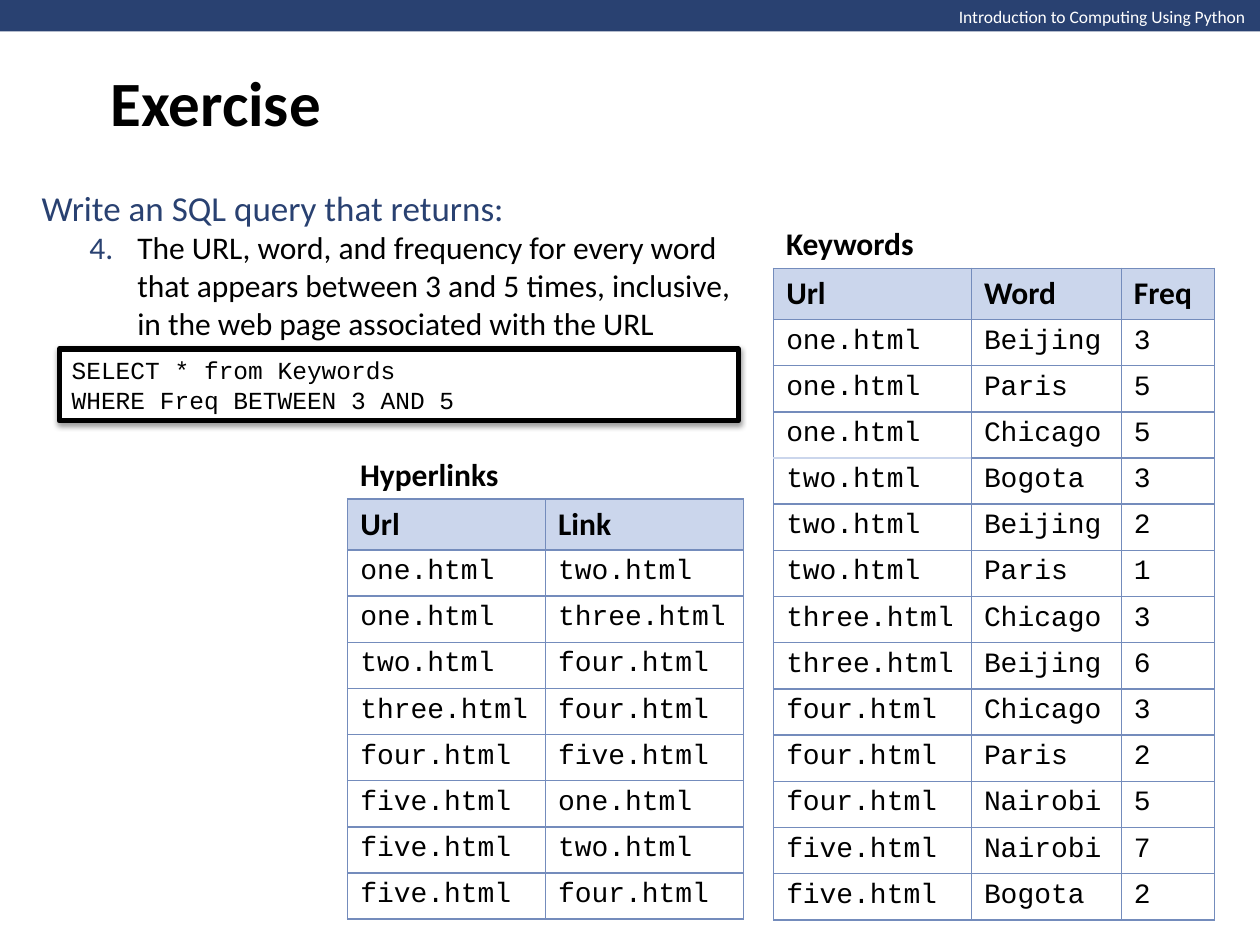
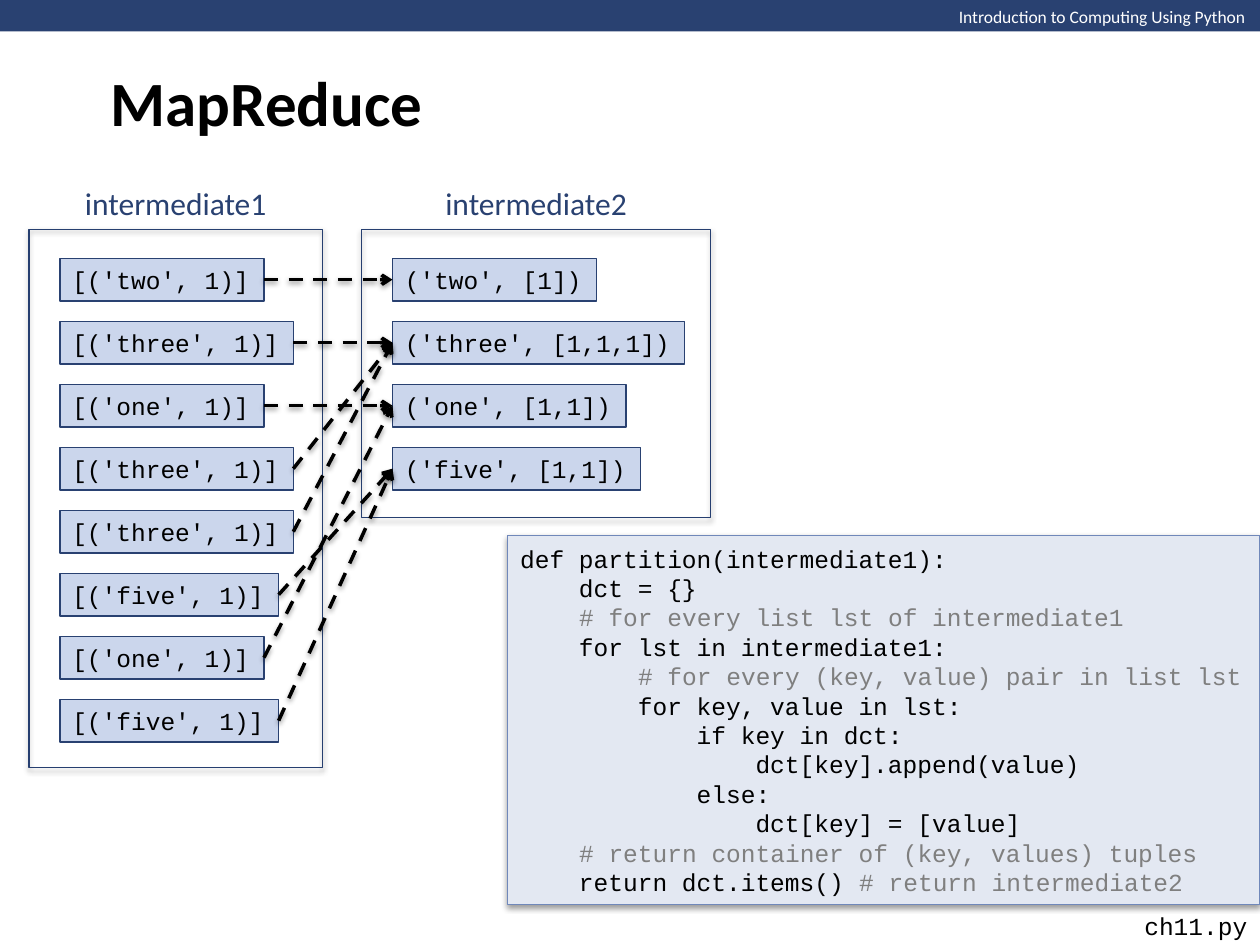
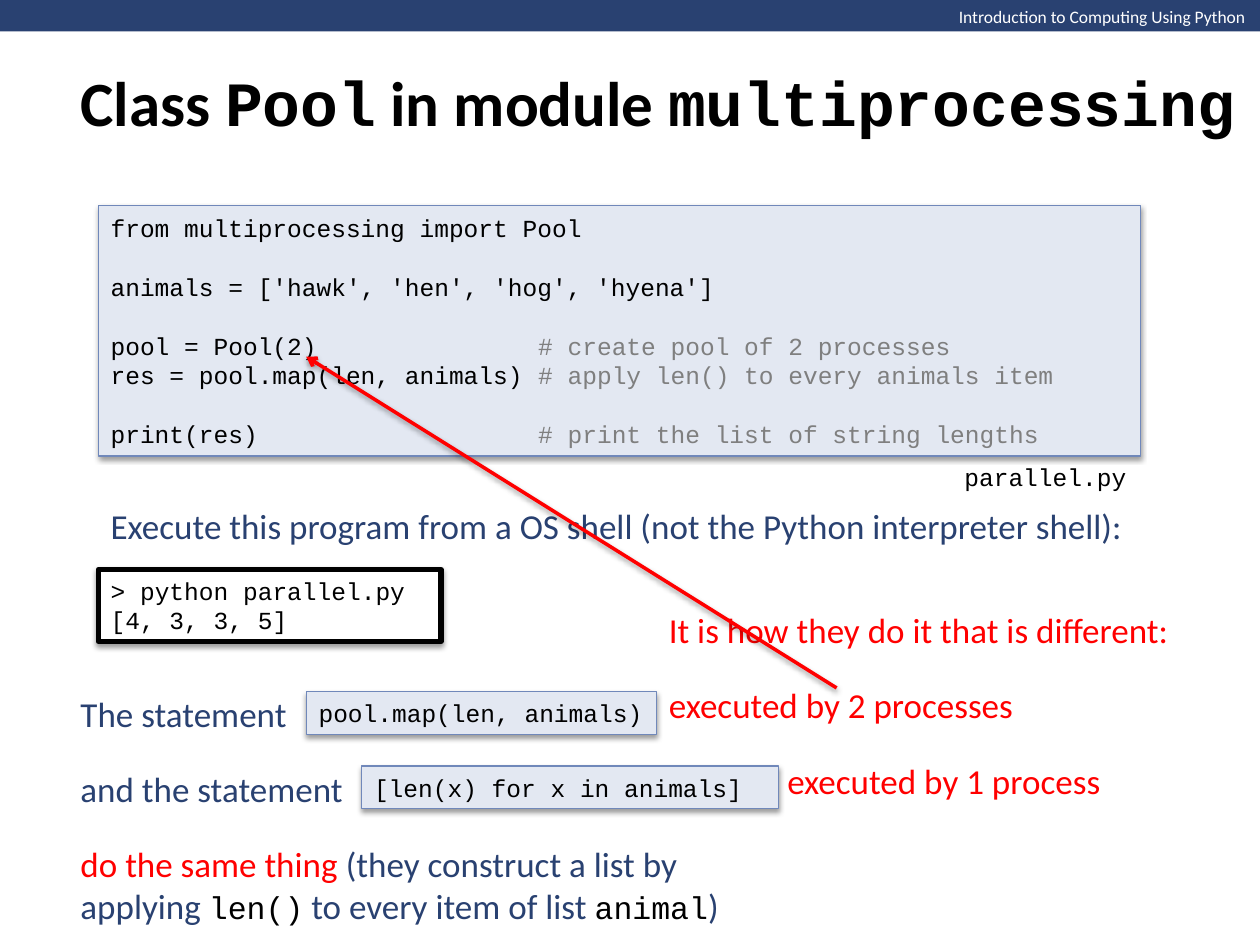
from collections import namedtuple

from lxml.etree import SubElement
from pptx import Presentation
from pptx.dml.color import RGBColor
from pptx.enum.dml import MSO_LINE
from pptx.enum.shapes import MSO_CONNECTOR, MSO_SHAPE
from pptx.enum.text import MSO_ANCHOR, MSO_AUTO_SIZE, PP_ALIGN
from pptx.oxml.ns import qn
from pptx.util import Inches, Pt

NAVY = RGBColor(0x29, 0x41, 0x71)
FRAME_BLUE = RGBColor(0x26, 0x3F, 0x70)
BORDER_BLUE = RGBColor(0x74, 0x8C, 0xBC)
PANEL_LINE = RGBColor(0x70, 0x88, 0xBA)
PANEL_FILL = RGBColor(0xE3, 0xE8, 0xF2)
PALE_BLUE = RGBColor(0xCB, 0xD6, 0xEC)
GREY = RGBColor(0x7F, 0x7F, 0x7F)
BLACK = RGBColor(0, 0, 0)
WHITE = RGBColor(0xFF, 0xFF, 0xFF)
RED = RGBColor(0xFF, 0, 0)

PROSE_FONT = "Calibri"
CODE_FONT = "Courier New"
CODE_SIZE = 14

WIDTH, HEIGHT = Inches(10), Inches(7.5)
COLUMN, ROW = WIDTH / 100, HEIGHT / 75
CHARACTER = CODE_SIZE * 0.6 / 7.2

Box = namedtuple("Box", "left top width height")
TITLE_BOX = Box(7.8, 0, 85, 16.1)

HYPERLINKS = [
    ("Url", "Link"),
    ("one.html", "two.html"),
    ("one.html", "three.html"),
    ("two.html", "four.html"),
    ("three.html", "four.html"),
    ("four.html", "five.html"),
    ("five.html", "one.html"),
    ("five.html", "two.html"),
    ("five.html", "four.html"),
]
KEYWORDS = [
    ("Url", "Word", "Freq"),
    ("one.html", "Beijing", "3"),
    ("one.html", "Paris", "5"),
    ("one.html", "Chicago", "5"),
    ("two.html", "Bogota", "3"),
    ("two.html", "Beijing", "2"),
    ("two.html", "Paris", "1"),
    ("three.html", "Chicago", "3"),
    ("three.html", "Beijing", "6"),
    ("four.html", "Chicago", "3"),
    ("four.html", "Paris", "2"),
    ("four.html", "Nairobi", "5"),
    ("five.html", "Nairobi", "7"),
    ("five.html", "Bogota", "2"),
]
QUERY = """SELECT * from Keywords
WHERE Freq BETWEEN 3 AND 5"""
PARTITION = """def partition(intermediate1):
    dct = {}
    # for every list lst of intermediate1
    for lst in intermediate1:
        # for every (key, value) pair in list lst
        for key, value in lst:
            if key in dct:
                dct[key].append(value)
            else:
                dct[key] = [value]
    # return container of (key, values) tuples
    return dct.items() # return intermediate2"""
POOL = """from multiprocessing import Pool

animals = ['hawk', 'hen', 'hog', 'hyena']

pool = Pool(2)               # create pool of 2 processes
res = pool.map(len, animals) # apply len() to every animals item

print(res)                   # print the list of string lengths"""
SESSION = """> python parallel.py
[4, 3, 3, 5]"""

MAPPED_KEYS = ["two", "three", "one", "three", "three", "five", "one", "five"]
GROUPS = {"two": "[1]", "three": "[1,1,1]", "one": "[1,1]", "five": "[1,1]"}


def place(box):
    """Turn grid columns and rows into slide lengths."""
    return (round(box.left * COLUMN), round(box.top * ROW),
            round(box.width * COLUMN), round(box.height * ROW))


def set_font(font, size, colour, name=PROSE_FONT, bold=False):
    """Format a paragraph's or a run's font."""
    font.name, font.size, font.bold = name, Pt(size), bold
    font.color.rgb = colour


def add_spans(para, text, code_size=None, code_colour=BLACK):
    """Add text whose parts between backticks are set in the code font."""
    for index, part in enumerate(text.split("`")):
        if part:
            span = para.add_run()
            span.text = part
            if index % 2:
                span.font.name = CODE_FONT
                span.font.color.rgb = code_colour
                if code_size:
                    span.font.size = Pt(code_size)


def prepare_frame(shape):
    """Wrap a shape's text at its box and centre it vertically."""
    frame = shape.text_frame
    frame.word_wrap = True
    frame.auto_size = MSO_AUTO_SIZE.NONE
    frame.vertical_anchor = MSO_ANCHOR.MIDDLE
    return frame


def add_label(page, box, lines, size, colour, name=PROSE_FONT, bold=False,
              align=PP_ALIGN.LEFT, gap=0):
    """Add a text box with one paragraph per line and return its paragraphs."""
    frame = prepare_frame(page.shapes.add_textbox(*place(box)))
    for index, line in enumerate(lines):
        para = frame.add_paragraph() if index else frame.paragraphs[0]
        para.alignment = align
        if index:
            para.space_before = Pt(gap)
        set_font(para.font, size, colour, name, bold)
        add_spans(para, line, 18)
    return frame.paragraphs


def add_shadow(shape):
    """Give a shape or connector the soft shadow below it."""
    effects = SubElement(shape._element.spPr, qn("a:effectLst"))
    outer = SubElement(effects, qn("a:outerShdw"), blurRad=str(Pt(3.1)),
                       dist=str(Pt(1.6)), dir="5400000", rotWithShape="0")
    colour = SubElement(outer, qn("a:srgbClr"), val=str(BLACK))
    SubElement(colour, qn("a:alpha"), val="38000")


def add_rectangle(page, box, fill, line, weight=0.75, shadow=False):
    """Add a rectangle; without a fill or line colour that part is empty."""
    shape = page.shapes.add_shape(MSO_SHAPE.RECTANGLE, *place(box))
    for part, colour in ((shape.fill, fill), (shape.line.fill, line)):
        if colour is None:
            part.background()
        else:
            part.solid()
            part.fore_color.rgb = colour
    if line is not None:
        shape.line.width = Pt(weight)
    if shadow:
        add_shadow(shape)
    else:
        shape.shadow.inherit = False
    return shape


def write_code(shape, code):
    """Write code with grey comments; blank lines become paragraph spacing."""
    frame = prepare_frame(shape)
    para, gap = None, 0
    for line in code.split("\n"):
        if not line:
            gap = 16.8
            continue
        para = frame.add_paragraph() if para else frame.paragraphs[0]
        para.alignment = PP_ALIGN.LEFT
        para.space_before = Pt(gap)
        gap = 0
        set_font(para.font, CODE_SIZE, BLACK, CODE_FONT)
        statement, mark, comment = line.partition("#")
        if statement:
            para.add_run().text = statement
        if mark:
            span = para.add_run()
            span.text = mark + comment
            span.font.color.rgb = GREY


def add_code_panel(page, box, code):
    """Add a pale panel of program code."""
    write_code(add_rectangle(page, box, PANEL_FILL, PANEL_LINE, shadow=True), code)


def add_console(page, box, code):
    """Add a white box with a heavy black border."""
    write_code(add_rectangle(page, box, WHITE, BLACK, 3, True), code)


def add_arrow(page, colour, start=(0, 0), end=(0, 0), dashed=False, joined=()):
    """Add an arrow between two grid points, or between two joined boxes."""
    points = [round(value * unit) for point in (start, end)
              for value, unit in zip(point, (COLUMN, ROW))]
    arrow = page.shapes.add_connector(MSO_CONNECTOR.STRAIGHT, *points)
    if joined:
        arrow.begin_connect(joined[0], 3)
        arrow.end_connect(joined[1], 1)
    arrow.line.color.rgb = colour
    arrow.line.width = Pt(2)
    if dashed:
        arrow.line.dash_style = MSO_LINE.DASH
    SubElement(arrow.line._get_or_add_ln(), qn("a:tailEnd"), type="arrow")
    add_shadow(arrow)


def format_cell(cell, text, header, pale_side):
    """Write one table cell with its borders, fill and font."""
    cell_format = cell._tc.get_or_add_tcPr()
    for side in "LRTB":
        line = SubElement(cell_format, qn("a:ln" + side), w=str(Pt(1)))
        fill = SubElement(line, qn("a:solidFill"))
        colour = PALE_BLUE if side == pale_side else BORDER_BLUE
        SubElement(fill, qn("a:srgbClr"), val=str(colour))
    cell.fill.solid()
    cell.fill.fore_color.rgb = PALE_BLUE if header else WHITE
    cell.text = text
    font = cell.text_frame.paragraphs[0].font
    if header:
        set_font(font, 18, BLACK, bold=True)
    else:
        set_font(font, 16, BLACK, CODE_FONT)


def add_named_table(page, box, name, records, widths, pale_sides):
    """Add a table that fills the box below a bold name."""
    name_rows, header_rows = 4, 4
    add_label(page, Box(box.left, box.top, box.width, name_rows), [name],
              18, BLACK, bold=True)
    body = Box(box.left, box.top + name_rows, box.width, box.height - name_rows)
    table = page.shapes.add_table(len(records), len(widths), *place(body)).table
    table.first_row = table.horz_banding = False
    for column, width in zip(table.columns, widths):
        column.width = round(width * COLUMN)
    record_rows = (body.height - header_rows) / (len(records) - 1)
    for row, record in enumerate(records):
        table.rows[row].height = round((record_rows if row else header_rows) * ROW)
        for column, text in enumerate(record):
            format_cell(table.cell(row, column), text, row == 0,
                        pale_sides.get((row, column)))


def add_page(deck, layout, title, box=TITLE_BOX):
    """Add a slide with the shared band, course name and title."""
    page = deck.slides.add_slide(deck.slide_layouts[layout])
    add_rectangle(page, Box(0, 0, 100, 2.5), NAVY, None)
    add_label(page, Box(60, 0, 39.8, 2.7), ["Introduction to Computing Using Python"],
              10, WHITE, align=PP_ALIGN.RIGHT)
    holder = page.shapes.title
    holder.left, holder.top, holder.width, holder.height = place(box)
    para = prepare_frame(holder).paragraphs[0]
    para.alignment = PP_ALIGN.LEFT
    set_font(para.font, 36, BLACK, bold=True)
    add_spans(para, title)
    return page


def fill_task(holder, box, prompt, number, task):
    """Write the prompt and a numbered task in the body placeholder."""
    holder.left, holder.top, holder.width, holder.height = place(box)
    frame = prepare_frame(holder)
    opening, item = frame.paragraphs[0], frame.add_paragraph()
    settings = opening._p.get_or_add_pPr()
    settings.set("marL", "0")
    settings.set("indent", "0")
    SubElement(settings, qn("a:buNone"))
    item.level = 1
    settings = item._p.get_or_add_pPr()
    settings.set("marL", str(Inches(0.76)))
    settings.set("indent", str(Inches(-0.38)))
    SubElement(SubElement(settings, qn("a:buClr")), qn("a:srgbClr"), val=str(NAVY))
    SubElement(settings, qn("a:buFont"), typeface="+mj-lt")
    SubElement(settings, qn("a:buAutoNum"), type="arabicPeriod", startAt=str(number))
    for para, text, size, colour in ((opening, prompt, 20, NAVY), (item, task, 18, BLACK)):
        para.space_before = Pt(0)
        set_font(para.font, size, colour)
        para.add_run().text = text


def add_pair_list(page, box, name, pairs):
    """Add a named frame of evenly spaced pairs and return their boxes."""
    add_label(page, Box(box.left, box.top - 4.1, box.width, 4), [name],
              18, NAVY, align=PP_ALIGN.CENTER)
    add_rectangle(page, box, None, FRAME_BLUE, shadow=True)
    shapes = []
    for index, pair in enumerate(pairs):
        pair_box = Box(box.left + 2.45, box.top + 2.3 + 5 * index,
                       2.2 + CHARACTER * len(pair), 3.4)
        shape = add_rectangle(page, pair_box, PALE_BLUE, NAVY)
        write_code(shape, pair)
        shape.text_frame.word_wrap = False
        shapes.append(shape)
    return shapes


def build_exercise(deck):
    """Build the query exercise with its two tables."""
    page = add_page(deck, 1, "Exercise")
    add_named_table(page, Box(27.6, 35.6, 31.4, 37.3), "Hyperlinks", HYPERLINKS,
                    [15.7, 15.7], {})
    add_named_table(page, Box(61.4, 17.3, 35, 55.7), "Keywords", KEYWORDS,
                    [15.7, 11.9, 7.4], {(3, 0): "B", (4, 0): "T"})
    fill_task(page.placeholders[1], Box(2.3, 14.2, 56.7, 13.5),
              "Write an SQL query that returns:", 4,
              "The URL, word, and frequency for every word that appears between "
              "3 and 5 times, inclusive, in the web page associated with the URL")
    add_console(page, Box(4.7, 27.7, 53.9, 5.7), QUERY)


def build_map_reduce(deck):
    """Build the partition step with its arrows and code."""
    page = add_page(deck, 5, "MapReduce")
    mapped = add_pair_list(page, Box(2.3, 18.2, 23.3, 42.7), "intermediate1",
                           [f"[('{key}', 1)]" for key in MAPPED_KEYS])
    grouped = add_pair_list(page, Box(28.7, 18.2, 27.7, 22.9), "intermediate2",
                            [f"('{key}', {ones})" for key, ones in GROUPS.items()])
    targets = dict(zip(GROUPS, grouped))
    for key, source in zip(MAPPED_KEYS, mapped):
        add_arrow(page, BLACK, dashed=True, joined=(source, targets[key]))
    add_label(page, Box(80, 71.8, 20, 3.4), ["ch11.py"], CODE_SIZE, BLACK,
              CODE_FONT, align=PP_ALIGN.RIGHT)
    add_code_panel(page, Box(40.3, 42.5, 59.7, 29.3), PARTITION)


def build_pool(deck):
    """Build the process pool program and its explanation."""
    page = add_page(deck, 5, "Class `Pool` in module `multiprocessing`",
                    Box(5.4, 0, 94.6, 16.1))
    add_console(page, Box(7.8, 45.2, 27.2, 5.7), SESSION)
    add_code_panel(page, Box(7.8, 16.3, 82.7, 19.9), POOL)
    add_label(page, Box(70, 36.1, 20.4, 3.4), ["parallel.py"], CODE_SIZE, BLACK,
              CODE_FONT, align=PP_ALIGN.RIGHT)
    add_label(page, Box(7.8, 39.5, 90, 4.4),
              ["Execute this program from a OS shell (not the Python interpreter shell):"],
              20, NAVY)
    statements = add_label(
        page, Box(5.4, 54.3, 54.1, 19.9),
        ["The statement", "and the statement", "do the same thing "], 20, NAVY, gap=19)
    statements[-1].runs[0].font.color.rgb = RED
    add_spans(statements[-1], "(they construct a list by applying `len()` "
              "to every item of list `animal`)", 18)
    add_code_panel(page, Box(24.3, 54.9, 27.8, 3.4), "pool.map(len, animals)")
    add_code_panel(page, Box(28.7, 60.8, 33.1, 3.4), "[len(x) for x in animals]")
    remarks = add_label(
        page, Box(52.1, 47.7, 44.1, 16.5),
        ["It is how they do it that is different:", "executed by 2 processes",
         "executed by 1 process"], 20, RED, gap=19)
    remarks[-1]._p.get_or_add_pPr().set("marL", str(Inches(0.94)))
    add_arrow(page, RED, (66.4, 54.6), (24.3, 28.3))


def main():
    """Build and save the deck."""
    deck = Presentation()
    deck.slide_width, deck.slide_height = WIDTH, HEIGHT
    build_exercise(deck)
    build_map_reduce(deck)
    build_pool(deck)
    deck.save("out.pptx")


if __name__ == "__main__":
    main()
